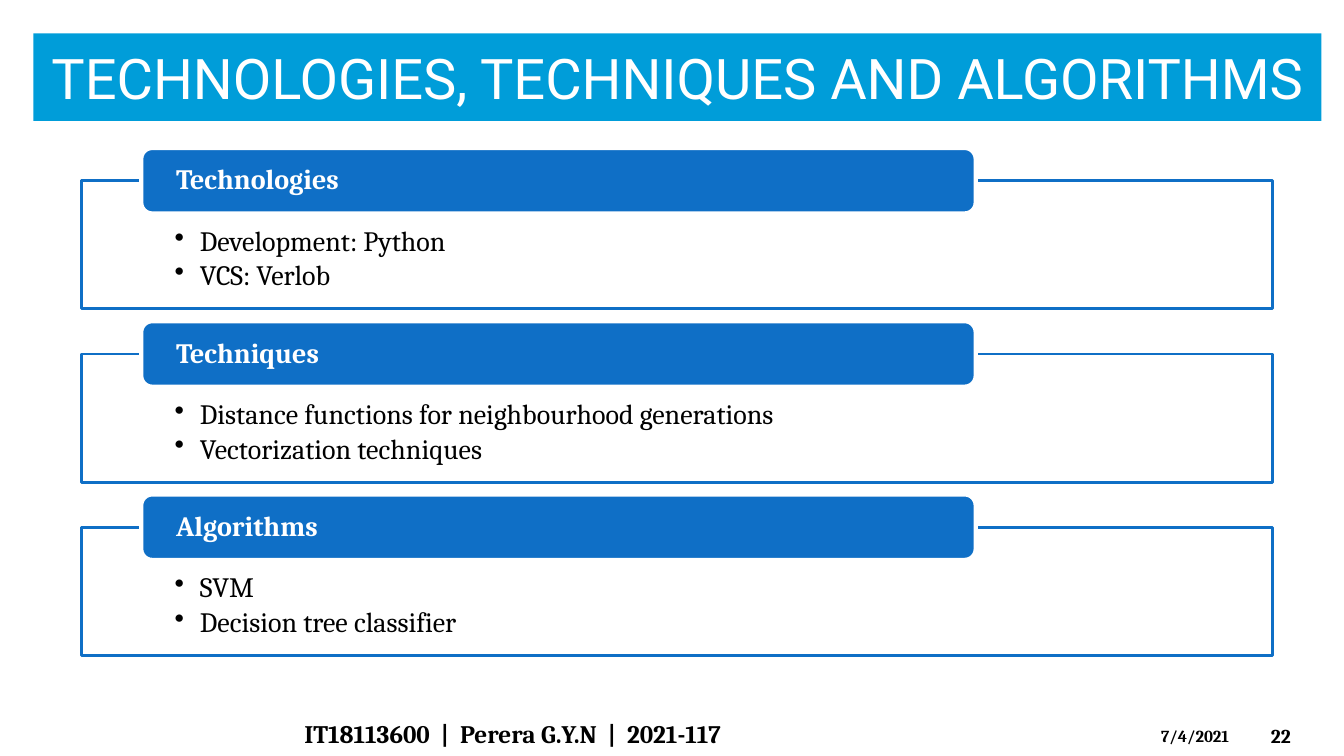
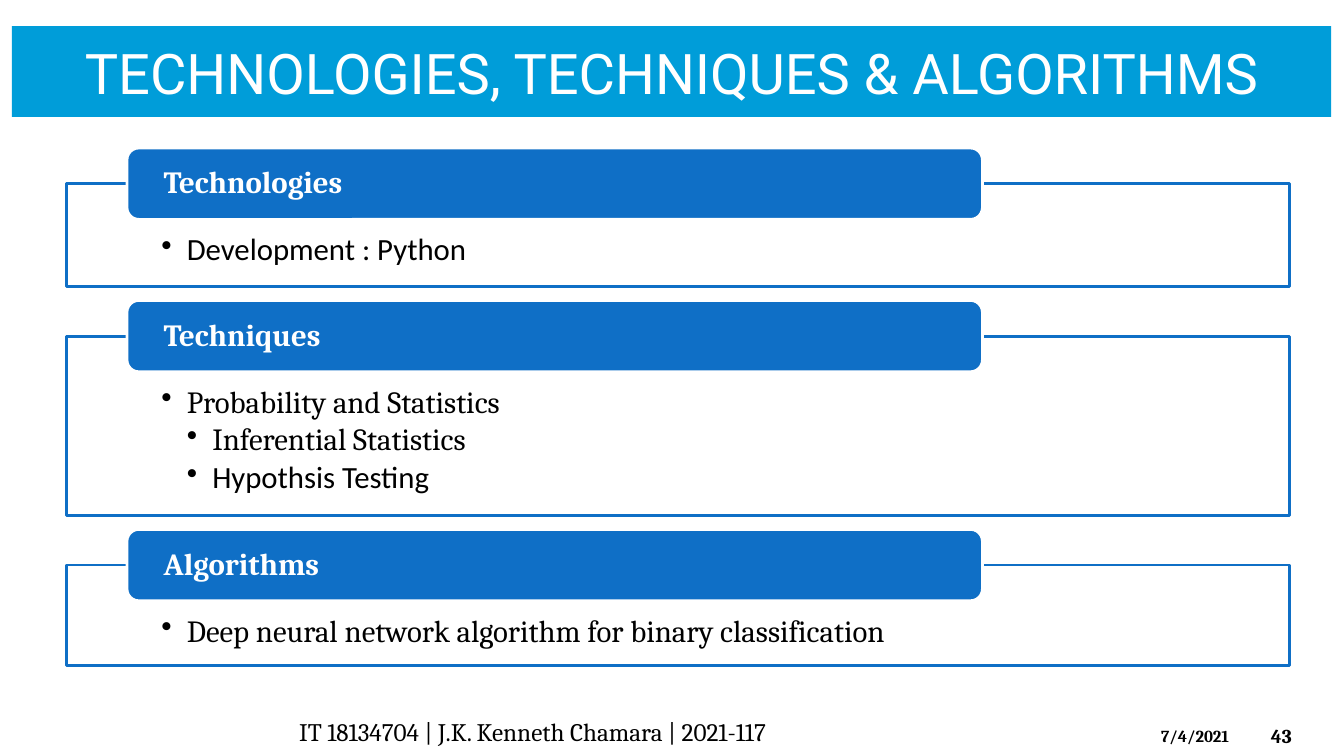
import dataclasses
import typing

import lxml.etree
import pptx
import pptx.dml.color
import pptx.enum.shapes
import pptx.enum.text
import pptx.oxml.ns
import pptx.util

Shape = pptx.enum.shapes.MSO_SHAPE
Anchor = pptx.enum.text.MSO_ANCHOR
Align = pptx.enum.text.PP_ALIGN


# Theme: colours, fonts and type sizes
@dataclasses.dataclass(frozen=True)
class Theme:
    band: str = "009DD9"
    blue: str = "0F6FC6"
    white: str = "FFFFFF"
    black: str = "000000"
    head: str = "Roboto"
    body: str = "Cambria"
    plain: str = "Calibri"
    title: int = 40
    foot: int = 18
    page: int = 14
    date: int = 12


THEME = Theme()


# Content types; all lengths are in centimetres
class Box(typing.NamedTuple):
    left: float
    top: float
    width: float
    height: float


class Item(typing.NamedTuple):
    text: str
    level: int = 1
    font: str = THEME.body


class Group(typing.NamedTuple):
    name: str
    height: float
    items: list[Item]


@dataclasses.dataclass(frozen=True)
class Style:
    left: float
    width: float
    inset: float
    drop: float
    base: float
    tab_left: float
    tab_width: float
    tab_height: float
    tab_inset: float
    edge: int
    gap: float
    size: int


@dataclasses.dataclass(frozen=True)
class Page:
    title: str
    band: Box
    style: Style
    groups: list[Group]
    foot: str
    foot_box: Box
    foot_bold: bool
    number: str


FIRST_TOP = 3.73
INDENT = 0.64
DATE = "7/4/2021"
DATE_BOX = Box(29.01, 18.16, 2.54, 0.76)
PAGE_BOX = Box(31.78, 18.03, 1.88, 1.02)

WIDE = Style(left=2.06, width=30.02, inset=2.34, drop=1.17, base=0.41,
             tab_left=3.56, tab_width=21.03, tab_height=1.65, tab_inset=0.8,
             edge=3, gap=0.31, size=20)
LARGE = Style(left=1.68, width=30.81, inset=2.39, drop=1.27, base=0.43,
              tab_left=3.2, tab_width=21.56, tab_height=1.8, tab_inset=0.84,
              edge=2, gap=0.35, size=22)

PAGES = [
    Page("TECHNOLOGIES, TECHNIQUES AND ALGORITHMS",
         Box(0.84, 0.84, 32.46, 2.21), WIDE,
         [Group("Technologies", 3.23,
                [Item("Development: Python"), Item("VCS: Verlob")]),
          Group("Techniques", 3.23,
                [Item("Distance functions for neighbourhood generations"),
                 Item("Vectorization techniques")]),
          Group("Algorithms", 3.23,
                [Item("SVM"), Item("Decision tree classifier")])],
         "IT18113600  |  Perera G.Y.N  |  2021-117",
         Box(7.42, 17.98, 15.04, 1.07), True, "22"),
    Page("TECHNOLOGIES, TECHNIQUES & ALGORITHMS",
         Box(0.3, 0.66, 33.25, 2.29), LARGE,
         [Group("Technologies", 2.59,
                [Item("Development : Python", font=THEME.plain)]),
          Group("Techniques", 4.52,
                [Item("Probability and Statistics"),
                 Item("Inferential Statistics", 2),
                 Item("Hypothsis Testing", 2, THEME.plain)]),
          Group("Algorithms", 2.54,
                [Item("Deep neural network algorithm for binary classification")])],
         "IT 18134704 | J.K. Kenneth Chamara | 2021-117",
         Box(7.29, 17.93, 16.51, 1.02), False, "43"),
]


# Drawing helpers
def paint(text: str) -> pptx.dml.color.RGBColor:
    return pptx.dml.color.RGBColor.from_string(text)


def place(box: Box) -> list[pptx.util.Length]:
    return [pptx.util.Cm(size) for size in box]


def style_runs(para, size: int, color: str, font: str, bold: bool = False) -> None:
    for run in para.runs:
        run.font.size = pptx.util.Pt(size)
        run.font.name = font
        run.font.bold = bold
        run.font.color.rgb = paint(color)


def add_block(slide, kind, box: Box, fill: str, line: str = "", weight: int = 0):
    shape = slide.shapes.add_shape(kind, *place(box))
    shape.shadow.inherit = False
    shape.fill.solid()
    shape.fill.fore_color.rgb = paint(fill)
    if line:
        shape.line.color.rgb = paint(line)
        shape.line.width = pptx.util.Pt(weight)
    else:
        shape.line.fill.background()
    return shape


def set_inset(frame, side: float, top: float = 0, base: float = 0) -> None:
    frame.margin_left = frame.margin_right = pptx.util.Cm(side)
    frame.margin_top = pptx.util.Cm(top)
    frame.margin_bottom = pptx.util.Cm(base)


def write(shape, text: str, size: int, color: str, font: str, bold: bool = False,
          align=Align.LEFT, anchor=Anchor.MIDDLE):
    frame = shape.text_frame
    frame.word_wrap = True
    frame.vertical_anchor = anchor
    frame.text = text
    for para in frame.paragraphs:
        para.alignment = align
        style_runs(para, size, color, font, bold)
    return frame


def add_bullet(para, level: int) -> None:
    props = para._p.get_or_add_pPr()
    props.set("marL", str(pptx.util.Cm(INDENT * level)))
    props.set("indent", str(pptx.util.Cm(-INDENT)))
    mark = lxml.etree.SubElement(props, pptx.oxml.ns.qn("a:buChar"))
    mark.set("char", "•")


# Slide parts
def add_group(slide, group: Group, top: float, style: Style) -> float:
    """Draw a panel with its tab and return the top of the next group."""
    middle = top + style.tab_height / 2
    panel = add_block(slide, Shape.RECTANGLE,
                      Box(style.left, middle, style.width, group.height),
                      THEME.white, THEME.blue, 2)
    text = "\n".join(item.text for item in group.items)
    frame = write(panel, text, style.size, THEME.black, THEME.body, anchor=Anchor.TOP)
    set_inset(frame, style.inset, style.drop, style.base)
    for para, item in zip(frame.paragraphs, group.items):
        add_bullet(para, item.level)
        para.level = item.level
        para.line_spacing = 0.9
        para.space_after = pptx.util.Pt(style.size * 0.15)
        style_runs(para, style.size, THEME.black, item.font)

    tab = add_block(slide, Shape.ROUNDED_RECTANGLE,
                    Box(style.tab_left, top, style.tab_width, style.tab_height),
                    THEME.blue, THEME.white, style.edge)
    frame = write(tab, group.name, style.size, THEME.white, THEME.body, True)
    set_inset(frame, style.tab_inset)
    frame.paragraphs[0].line_spacing = 0.9
    return middle + group.height + style.gap


def add_footer(slide, page: Page) -> None:
    for box, text, size, anchor in (
            (PAGE_BOX, page.number, THEME.page, Anchor.MIDDLE),
            (DATE_BOX, DATE, THEME.date, Anchor.TOP)):
        label = slide.shapes.add_textbox(*place(box))
        write(label, text, size, THEME.black, THEME.body, True, anchor=anchor)
    foot = add_block(slide, Shape.RECTANGLE, page.foot_box, THEME.white)
    write(foot, page.foot, THEME.foot, THEME.black, THEME.body,
          page.foot_bold, anchor=Anchor.TOP)


def add_page(deck, page: Page) -> None:
    slide = deck.slides.add_slide(deck.slide_layouts[6])
    band = add_block(slide, Shape.RECTANGLE, page.band, THEME.band)
    write(band, page.title, THEME.title, THEME.white, THEME.head, align=Align.CENTER)
    top = FIRST_TOP
    for group in page.groups:
        top = add_group(slide, group, top, page.style)
    add_footer(slide, page)


def main() -> None:
    deck = pptx.Presentation()
    deck.slide_width = pptx.util.Cm(33.87)
    deck.slide_height = pptx.util.Cm(19.05)
    for page in PAGES:
        add_page(deck, page)
    deck.save("out.pptx")


if __name__ == "__main__":
    main()
